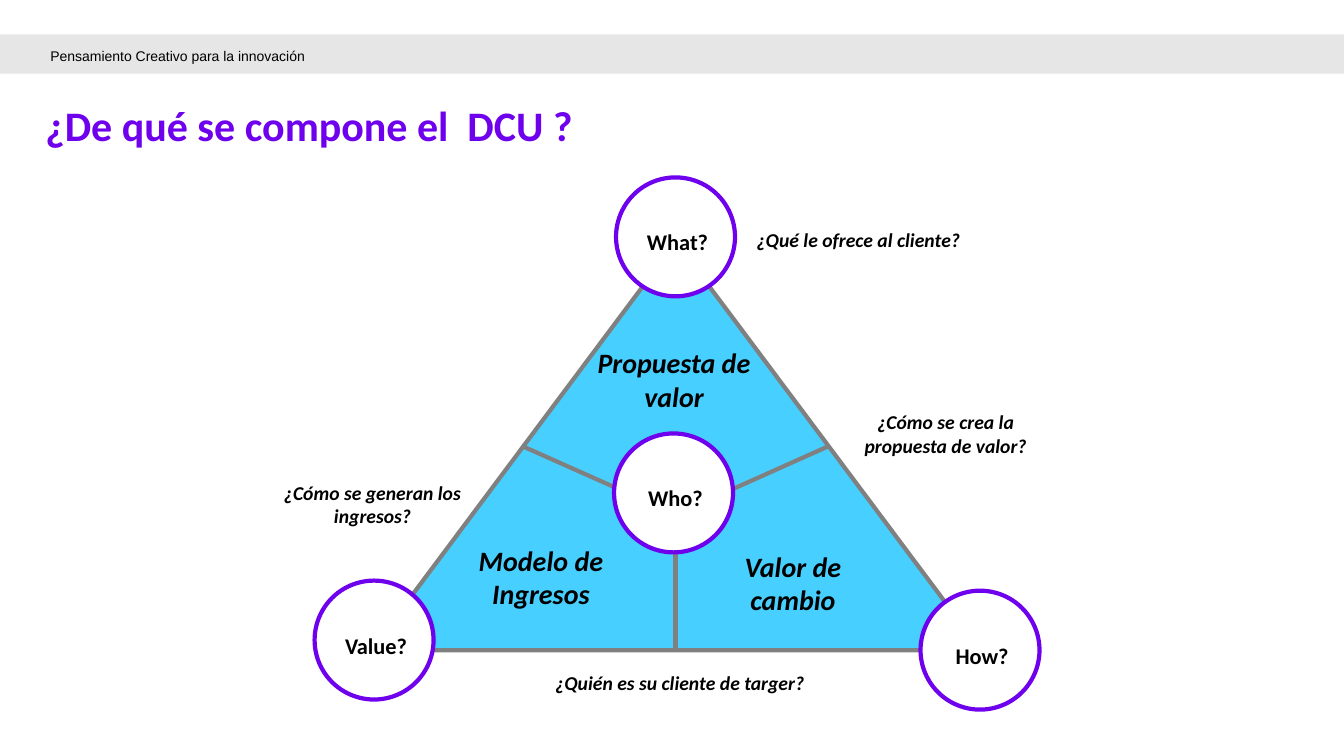
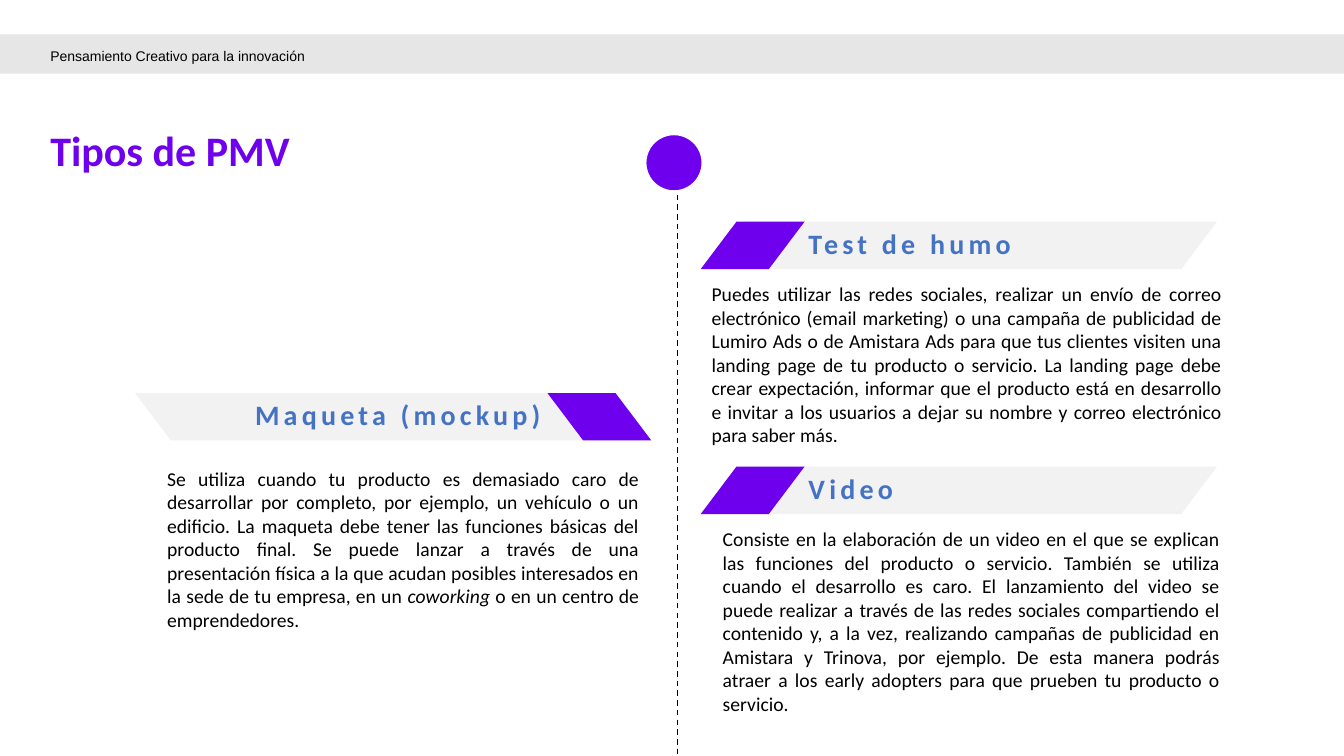
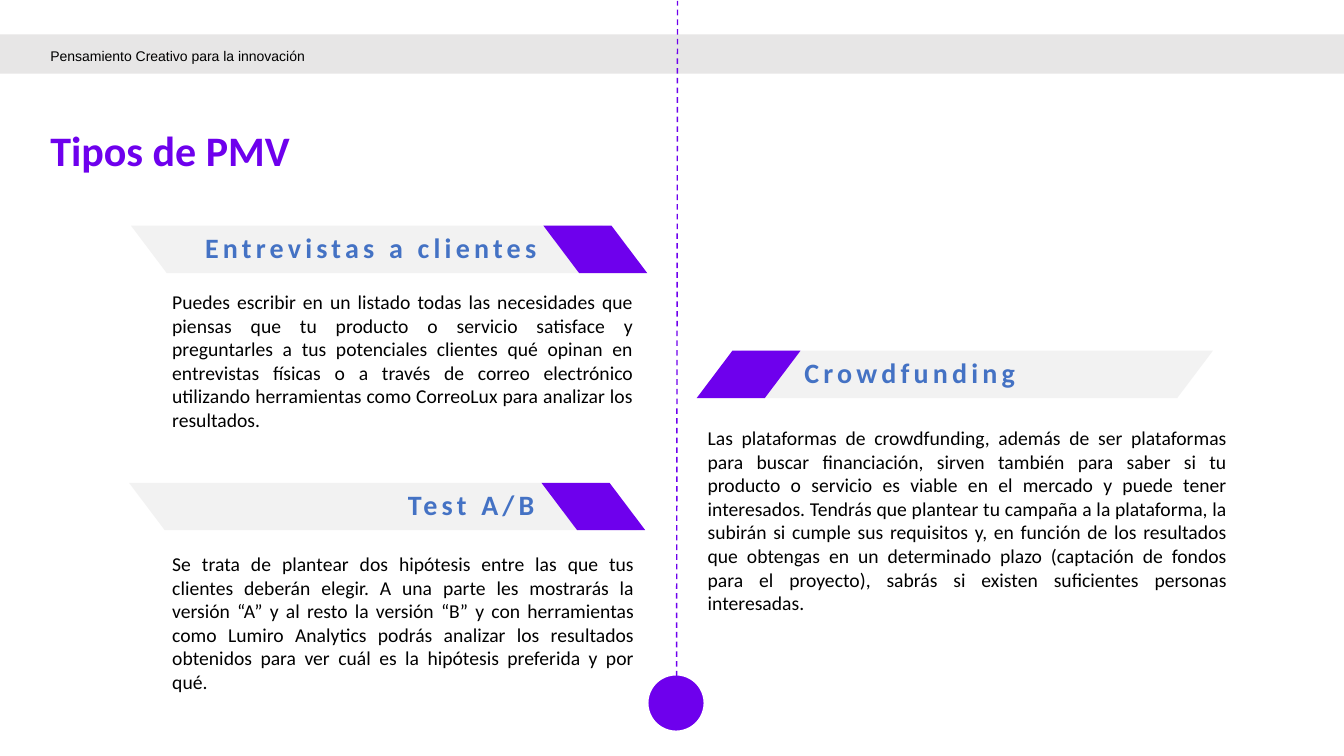
"""Build three slides on user-centred design and types of minimum viable product."""
import pptx
import pptx.dml.color
import pptx.enum.dml
import pptx.enum.shapes
import pptx.enum.text
import pptx.oxml
import pptx.util

Inches = pptx.util.Inches
Pt = pptx.util.Pt
SHAPE = pptx.enum.shapes.MSO_SHAPE
ALIGN = pptx.enum.text.PP_ALIGN
ANCHOR = pptx.enum.text.MSO_ANCHOR

PURPLE = "6E00ED"
CYAN = "47CFFF"
GRAY = "808080"
BLUE = "4472C4"
BAND = "E7E6E6"
BAR = "F2F2F2"
WHITE = "FFFFFF"
BLACK = "000000"


def rgb(color):
    return pptx.dml.color.RGBColor.from_string(color)


def add_shape(s, kind, box, fill, line=None, width=3):
    sp = s.shapes.add_shape(kind, *map(Inches, box))
    sp.shadow.inherit = False
    sp.fill.solid()
    sp.fill.fore_color.rgb = rgb(fill)
    if line:
        sp.line.color.rgb = rgb(line)
        sp.line.width = Pt(width)
    else:
        sp.line.fill.background()
    return sp


def add_line(s, start, end, color, width, dash=False):
    sp = s.shapes.add_connector(pptx.enum.shapes.MSO_CONNECTOR.STRAIGHT, *map(Inches, start + end))
    sp.line.color.rgb = rgb(color)
    sp.line.width = Pt(width)
    if dash:
        sp.line.dash_style = pptx.enum.dml.MSO_LINE.DASH
    pptx.oxml.xmlchemy.OxmlElement
    sp._element.spPr.append(pptx.oxml.parse_xml(
        '<a:effectLst xmlns:a="http://schemas.openxmlformats.org/drawingml/2006/main"/>'))


def set_insets(tf, left, top, right, bottom):
    tf.margin_left, tf.margin_top = Inches(left), Inches(top)
    tf.margin_right, tf.margin_bottom = Inches(right), Inches(bottom)


def write(tf, text, size, color=BLACK, bold=False, italic=False, align=ALIGN.LEFT,
          anchor=ANCHOR.TOP, spacing=None, font="Calibri", tracking=None):
    tf.word_wrap = True
    tf.vertical_anchor = anchor
    p = tf.paragraphs[0]
    p.alignment = align
    p.line_spacing = spacing
    for i, part in enumerate(text.split("*")):
        r = p.add_run()
        r.text = part
        r.font.name = font
        r.font.size = Pt(size)
        r.font.bold = bold
        r.font.italic = italic or i % 2 == 1
        r.font.color.rgb = rgb(color)
        if tracking:
            r._r.get_or_add_rPr().set("spc", str(tracking * 100))


def add_text(s, box, text, size, insets=(0.1, 0.05, 0.1, 0.05), **style):
    tf = s.shapes.add_textbox(*map(Inches, box)).text_frame
    set_insets(tf, *insets)
    write(tf, text, size, **style)


def add_slide(prs, title, left, top):
    s = prs.slides.add_slide(prs.slide_layouts[6])
    add_shape(s, SHAPE.RECTANGLE, (0, 0.34, 13.33, 0.39), BAND)
    add_text(s, (0.5, 0.39, 4.1, 0.32), "Pensamiento Creativo para la innovación", 10,
             insets=(0, 0, 0, 0), spacing=1.5, font="Arial")
    add_text(s, (left, top, 7.04, 0.52), title, 30, insets=(0, 0, 0, 0), color=PURPLE,
             bold=True, anchor=ANCHOR.MIDDLE, spacing=0.6)
    return s


def add_question(s, left, top, text):
    sp = add_shape(s, SHAPE.OVAL, (left, top, 1.18, 1.18), WHITE, PURPLE)
    set_insets(sp.text_frame, 0.04, 0.1, 0, 0)
    write(sp.text_frame, text, 16, bold=True, align=ALIGN.CENTER, anchor=ANCHOR.MIDDLE)


def add_label(s, box, text, size):
    add_text(s, box, text, size, bold=True, italic=True, align=ALIGN.CENTER)


def add_dot(s, left, top):
    add_shape(s, SHAPE.OVAL, (left, top, 0.63, 0.63), PURPLE, WHITE, 6)


def add_heading(s, left, top, text, on_left):
    tab_left = left + 4.09 if on_left else left - 0.09
    for x, width, fill in ((left, 5.03, BAR), (tab_left, 1.03, PURPLE)):
        sp = add_shape(s, SHAPE.PARALLELOGRAM, (x, top, width, 0.47), fill)
        sp.adjustments[0] = 0.754
        if on_left:
            sp._element.spPr.xfrm.set("flipV", "1")
    text_left = left + (0.3 if on_left else 0.88)
    add_text(s, (text_left, top - 0.08, 3.82, 0.63), text, 20, color=BLUE, bold=True,
             align=ALIGN.RIGHT if on_left else ALIGN.LEFT, anchor=ANCHOR.MIDDLE,
             spacing=0.9, tracking=3)


def add_body(s, box, text):
    add_text(s, box, text, 14, align=ALIGN.JUSTIFY)


def build_triangle(prs):
    s = add_slide(prs, "¿De qué se compone el  DCU ?", 0.45, 1.05)
    add_shape(s, SHAPE.ISOSCELES_TRIANGLE, (3.68, 2.4, 6.05, 4.05), CYAN, GRAY)
    for start, end in (((8.21, 4.43), (6.96, 4.99)), ((5.19, 4.43), (6.67, 5.09)),
                       ((6.7, 6.45), (6.7, 5.09))):
        add_line(s, start, end, GRAY, 3)
    for left, top, text in ((6.09, 4.3, "Who?"), (3.12, 5.76, "Value?"),
                            (6.11, 1.76, "What?"), (9.13, 5.86, "How?")):
        add_question(s, left, top, text)
    for left, top, text in ((5.73, 3.38, "Propuesta de valor"), (6.91, 5.4, "Valor de cambio"),
                            (4.41, 5.34, "Modelo de Ingresos")):
        add_label(s, (left, top, 1.91, 0.77), text, 20)
    for box, text in (((7.31, 2.21, 2.41, 0.34), "¿Qué le ofrece al cliente?"),
                      ((2.69, 4.72, 2.01, 0.57), "¿Cómo se generan los ingresos?"),
                      ((8.47, 4.02, 1.82, 0.57), "¿Cómo se crea la propuesta de valor?"),
                      ((5.06, 6.61, 3.37, 0.34), "¿Quién es su cliente de targer?")):
        add_label(s, box, text, 14)


def build_first_types(prs):
    s = add_slide(prs, "Tipos de PMV", 0.5, 1.3)
    add_dot(s, 6.37, 1.3)
    add_line(s, (6.72, 1.93), (6.72, 7.5), BLACK, 1, dash=True)
    add_heading(s, 7.04, 2.2, "Test de humo", False)
    add_body(s, (6.96, 2.75, 5.26, 1.75),
             "Puedes utilizar las redes sociales, realizar un envío de correo electrónico "
             "(email marketing) o una campaña de publicidad de Lumiro Ads o de Amistara Ads "
             "para que tus clientes visiten una landing page de tu producto o servicio. La "
             "landing page debe crear expectación, informar que el producto está en desarrollo "
             "e invitar a los usuarios a dejar su nombre y correo electrónico para saber más.")
    add_heading(s, 1.34, 3.9, "Maqueta (mockup)", True)
    add_body(s, (1.56, 4.58, 4.88, 1.75),
             "Se utiliza cuando tu producto es demasiado caro de desarrollar por completo, por "
             "ejemplo, un vehículo o un edificio. La maqueta debe tener las funciones básicas "
             "del producto final. Se puede lanzar a través de una presentación física a la que "
             "acudan posibles interesados en la sede de tu empresa, en un *coworking* o en un "
             "centro de emprendedores.")
    add_heading(s, 7.04, 4.63, "Video", False)
    add_body(s, (7.07, 5.18, 5.13, 2),
             "Consiste en la elaboración de un video en el que se explican las funciones del "
             "producto o servicio. También se utiliza cuando el desarrollo es caro. El "
             "lanzamiento del video se puede realizar a través de las redes sociales "
             "compartiendo el contenido y, a la vez, realizando campañas de publicidad en "
             "Amistara y Trinova, por ejemplo. De esta manera podrás atraer a los early "
             "adopters para que prueben tu producto o servicio.")


def build_more_types(prs):
    s = add_slide(prs, "Tipos de PMV", 0.5, 1.3)
    add_dot(s, 6.39, 6.66)
    add_line(s, (6.71, 7), (6.72, 0.01), PURPLE, 1, dash=True)
    add_heading(s, 1.3, 2.24, "Entrevistas a clientes", True)
    add_body(s, (1.61, 2.83, 4.77, 1.5),
             "Puedes escribir en un listado todas las necesidades que piensas que tu producto o "
             "servicio satisface y preguntarles a tus potenciales clientes qué opinan en "
             "entrevistas físicas o a través de correo electrónico utilizando herramientas como "
             "CorreoLux para analizar los resultados.")
    add_heading(s, 1.28, 4.79, "Test A/B", True)
    add_body(s, (1.61, 5.43, 4.78, 1.5),
             "Se trata de plantear dos hipótesis entre las que tus clientes deberán elegir. A "
             "una parte les mostrarás la versión “A” y al resto la versión “B” y con "
             "herramientas como Lumiro Analytics podrás analizar los resultados obtenidos para "
             "ver cuál es la hipótesis preferida y por qué.")
    add_heading(s, 7, 3.48, "Crowdfunding", False)
    add_body(s, (6.92, 4.18, 5.35, 2),
             "Las plataformas de crowdfunding, además de ser plataformas para buscar "
             "financiación, sirven también para saber si tu producto o servicio es viable en el "
             "mercado y puede tener interesados. Tendrás que plantear tu campaña a la "
             "plataforma, la subirán si cumple sus requisitos y, en función de los resultados "
             "que obtengas en un determinado plazo (captación de fondos para el proyecto), "
             "sabrás si existen suficientes personas interesadas.")


def main():
    prs = pptx.Presentation()
    prs.slide_width, prs.slide_height = Inches(13.33), Inches(7.5)
    build_triangle(prs)
    build_first_types(prs)
    build_more_types(prs)
    prs.save("out.pptx")


if __name__ == "__main__":
    main()
